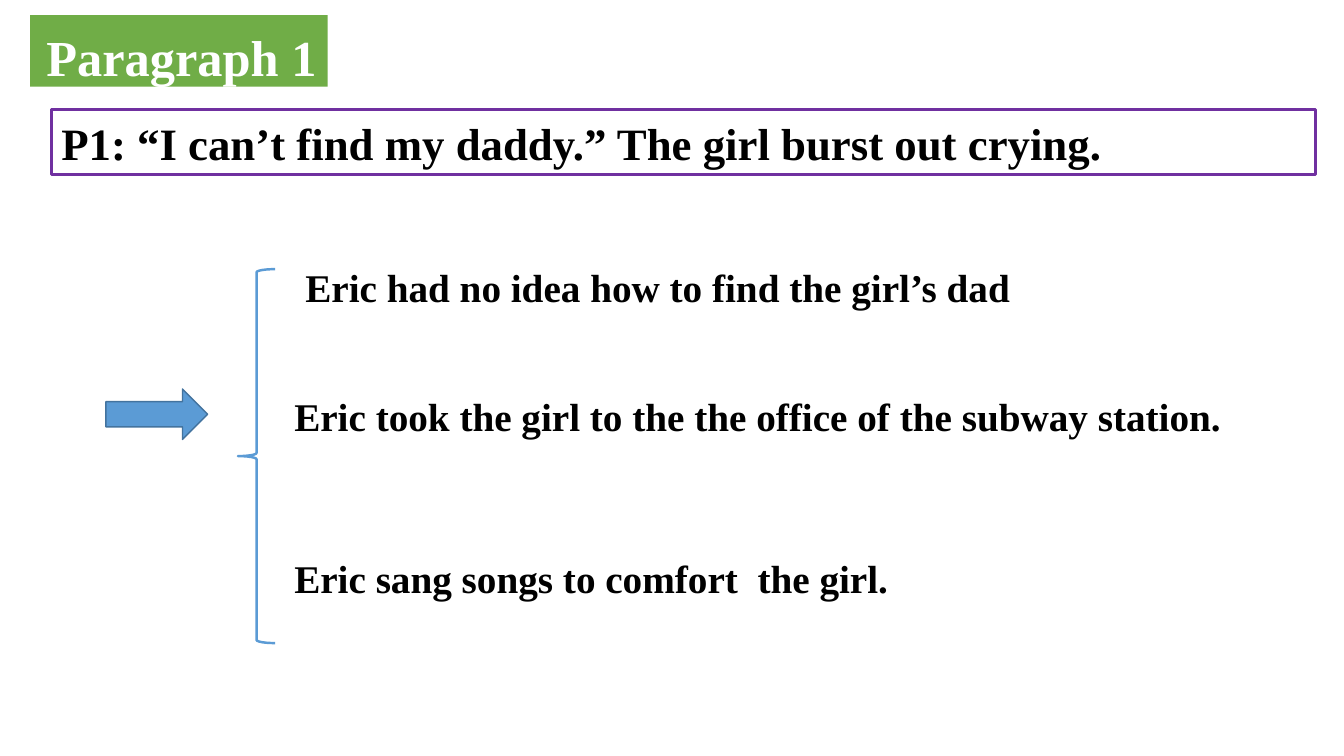
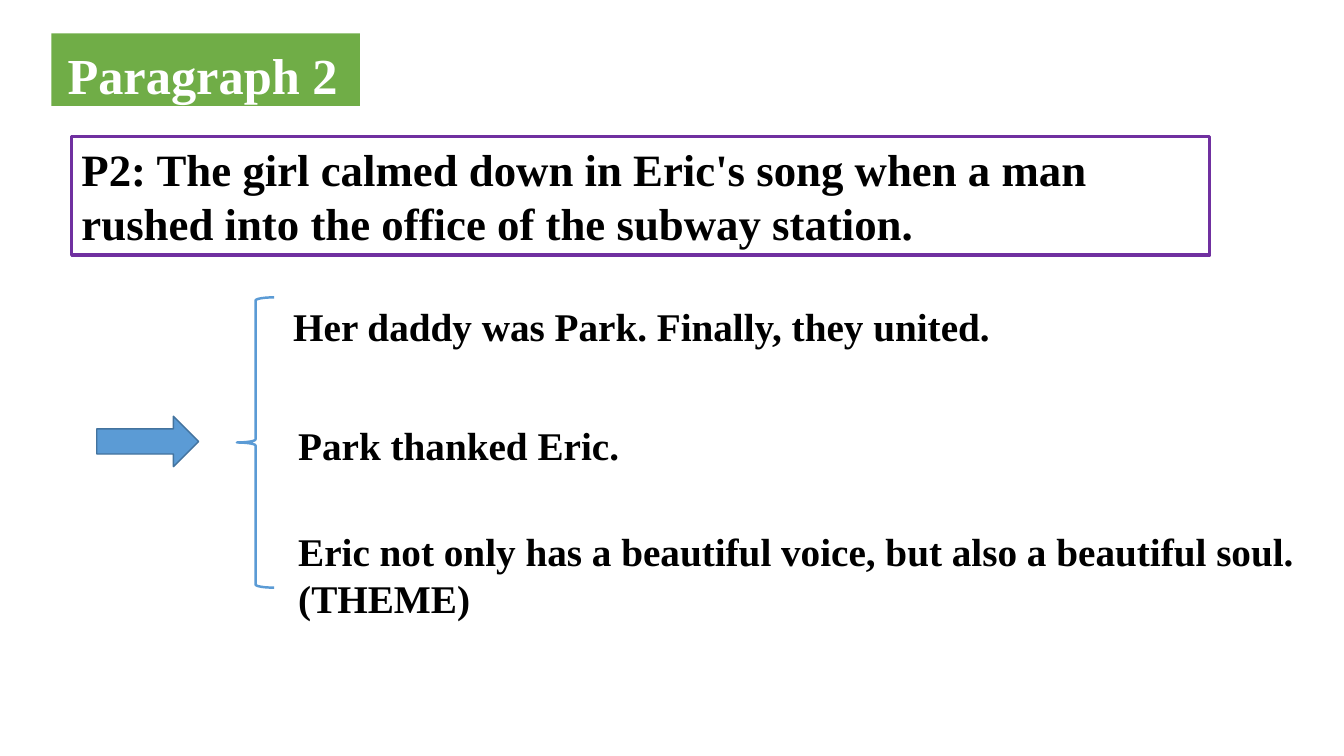
from pptx import Presentation
from pptx.dml.color import RGBColor
from pptx.enum.shapes import MSO_SHAPE
from pptx.enum.text import MSO_ANCHOR, MSO_AUTO_SIZE, PP_ALIGN
from pptx.util import Inches, Pt

SLIDE_WIDTH, SLIDE_HEIGHT = 13.33, 7.5
COLORS = {
    "band": "70AD47",
    "title": "FFFFFF",
    "text": "000000",
    "frame": "7030A0",
    "accent": "5B9BD5",
    "accent_edge": "43739E",
}
FONT = "Times New Roman"
TITLE_INSETS = {"margin_left": 0.16, "margin_top": 0.11,
                "margin_right": 0, "margin_bottom": 0}
ARROW_SIZE = (1.01, 0.5)
OUTCOME_HEIGHT = 0.57

# Boxes are left, top, width, height in inches; outcomes start at left, top.
PARAGRAPHS = [
    {
        "title": "Paragraph 1",
        "band": (0.3, 0.15, 2.95, 0.71),
        "opening": "P1: “I can’t find my daddy.” The girl burst out crying.",
        "frame": (0.51, 1.09, 12.54, 0.64),
        "arrow": (1.05, 3.86),
        "brace": (2.36, 2.67, 0.37, 3.71),
        "outcomes": [
            ("Eric had no idea how to find the girl’s dad", 2.93, 2.56),
            ("Eric took the girl to the the office of the subway station.", 2.82, 3.84),
            ("Eric sang songs to comfort  the girl.", 2.82, 5.45),
        ],
    },
    {
        "title": "Paragraph 2",
        "band": (0.51, 0.33, 3.06, 0.72),
        "opening": "P2: The girl calmed down in Eric's song when a man "
                   "rushed into the office of the subway station.",
        "frame": (0.71, 1.35, 11.29, 1.18),
        "arrow": (0.96, 4.13),
        "brace": (2.35, 2.95, 0.37, 2.88),
        "outcomes": [
            ("Her daddy was Park. Finally, they united.", 2.81, 2.95),
            ("Park thanked Eric.", 2.86, 4.13),
            ("Eric not only has a beautiful voice, but also a beautiful soul.(THEME)",
             2.86, 5.18),
        ],
    },
]


def rgb(name):
    return RGBColor.from_string(COLORS[name])


def inches(box):
    return [Inches(length) for length in box]


def write(shape, text, size, color="text", anchor=MSO_ANCHOR.TOP):
    frame = shape.text_frame
    frame.text = text
    frame.word_wrap = True
    frame.auto_size = MSO_AUTO_SIZE.NONE
    frame.vertical_anchor = anchor
    paragraph = frame.paragraphs[0]
    paragraph.alignment = PP_ALIGN.LEFT
    font = paragraph.runs[0].font
    for name, value in {"name": FONT, "size": Pt(size), "bold": True}.items():
        setattr(font, name, value)
    font.color.rgb = rgb(color)


def add_outlined(slide, preset, box, line, weight, fill=None):
    shape = slide.shapes.add_shape(preset, *inches(box))
    shape.shadow.inherit = False
    shape.line.color.rgb = rgb(line)
    shape.line.width = Pt(weight)
    if fill:
        shape.fill.solid()
        shape.fill.fore_color.rgb = rgb(fill)
    else:
        shape.fill.background()
    return shape


def add_title(slide, text, box):
    """Turn the title placeholder into the green band."""
    title = slide.shapes.title
    title.left, title.top, title.width, title.height = inches(box)
    title.fill.solid()
    title.fill.fore_color.rgb = rgb("band")
    write(title, text, 36, "title")
    for margin, inset in TITLE_INSETS.items():
        setattr(title.text_frame, margin, Inches(inset))
    title.text_frame.word_wrap = False


def add_paragraph_slide(deck, content):
    slide = deck.slides.add_slide(deck.slide_layouts.get_by_name("Title Only"))
    add_title(slide, content["title"], content["band"])
    opening = add_outlined(slide, MSO_SHAPE.RECTANGLE, content["frame"], "frame", 2.25)
    write(opening, content["opening"], 32, anchor=MSO_ANCHOR.MIDDLE)
    add_outlined(slide, MSO_SHAPE.RIGHT_ARROW, content["arrow"] + ARROW_SIZE,
                 "accent_edge", 1, "accent")
    add_outlined(slide, MSO_SHAPE.LEFT_BRACE, content["brace"], "accent", 1.75)
    for text, left, top in content["outcomes"]:
        box = (left, top, SLIDE_WIDTH - left, OUTCOME_HEIGHT)
        write(slide.shapes.add_textbox(*inches(box)), text, 28)


def main():
    deck = Presentation()
    deck.slide_width, deck.slide_height = inches((SLIDE_WIDTH, SLIDE_HEIGHT))
    for content in PARAGRAPHS:
        add_paragraph_slide(deck, content)
    deck.save("out.pptx")


if __name__ == "__main__":
    main()
